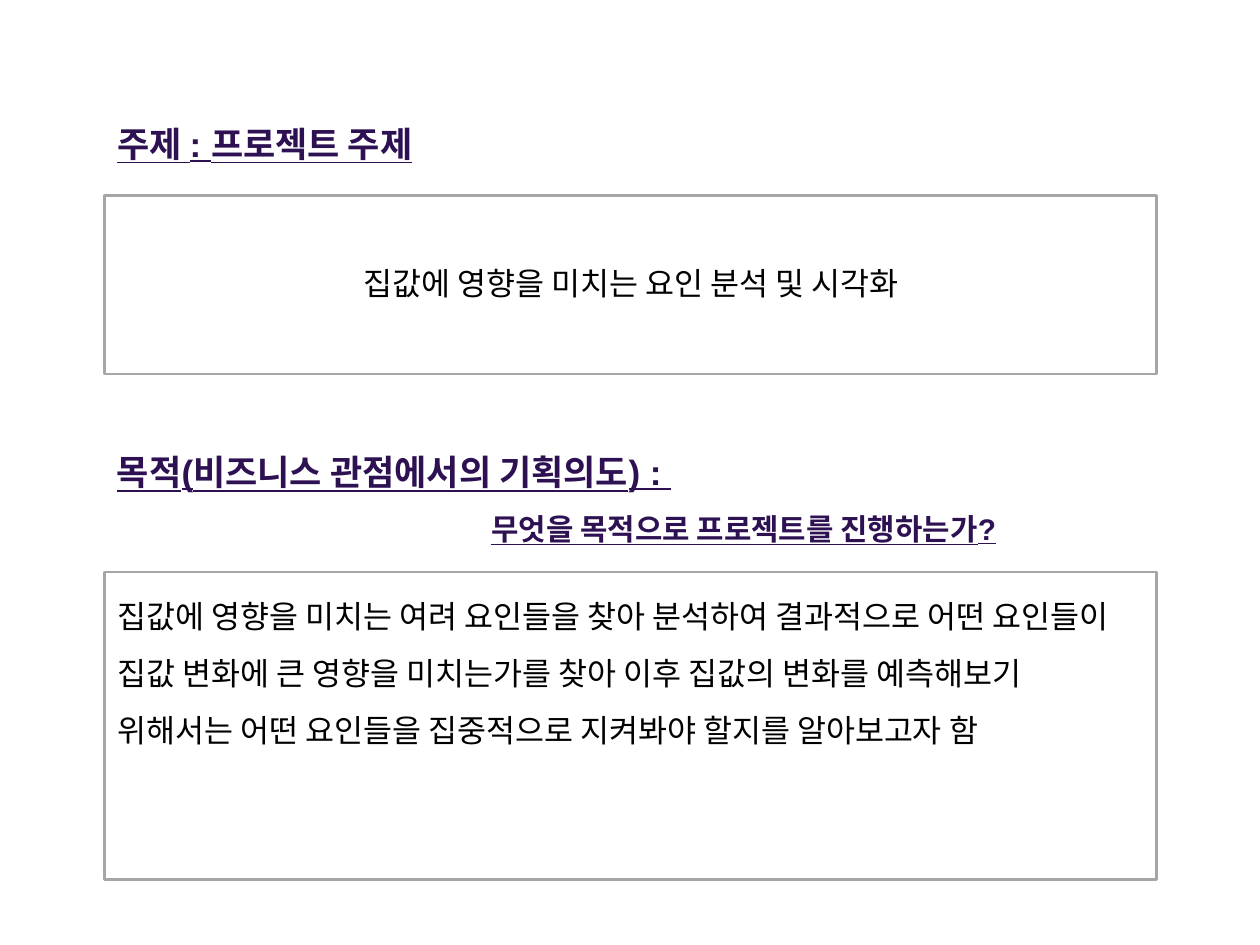
from dataclasses import dataclass

from lxml.etree import SubElement
from pptx import Presentation
from pptx.dml.color import RGBColor as Rgb
from pptx.enum.shapes import MSO_SHAPE as Shape
from pptx.enum.text import MSO_ANCHOR as Anchor, MSO_AUTO_SIZE as AutoSize, PP_ALIGN as Align
from pptx.oxml.ns import qn
from pptx.util import Inches, Pt


@dataclass(frozen=True)
class Theme:
    """Colours, fonts and type sizes of the slide."""
    heading_color: Rgb = Rgb(0x2D, 0x11, 0x52)
    text_color: Rgb = Rgb(0, 0, 0)
    frame_color: Rgb = Rgb(0xA6, 0xA6, 0xA6)
    heading_font: str = "Arial"
    korean_font: str = "Noto Sans CJK KR"
    heading_size: int = 20
    question_size: int = 17
    text_size: int = 18
    frame_width: float = 1.5


THEME = Theme()
HEADING = {"name": THEME.heading_font, "bold": True, "underline": True,
           "size": Pt(THEME.heading_size)}
QUESTION = {**HEADING, "size": Pt(THEME.question_size)}
TEXT = {"name": THEME.korean_font, "size": Pt(THEME.text_size)}


def apply_format(target, values):
    """Set each named attribute on the target."""
    for name, value in values.items():
        setattr(target, name, value)


def place(shape, left, top, width, height):
    """Move a shape to a box given in inches."""
    box = zip(("left", "top", "width", "height"), (left, top, width, height))
    apply_format(shape, {name: Inches(value) for name, value in box})


def write_para(para, text, style, color, align=Align.LEFT, spacing=1.0, indent=0):
    """Write one unbulleted paragraph in the given style."""
    apply_format(para, {"alignment": align, "line_spacing": spacing,
                        "space_before": Pt(0)})
    props = para._p.get_or_add_pPr()
    props.set("marL", str(Inches(indent)))
    props.set("indent", "0")
    SubElement(props, qn("a:buNone"))
    span = para.add_run()
    span.text = text
    apply_format(span.font, style)
    span.font.color.rgb = color
    SubElement(span._r.get_or_add_rPr(), qn("a:ea"), typeface=THEME.korean_font)


def prepare_text(shape):
    """Return the wrapped, top-anchored text frame of a shape."""
    apply_format(shape.text_frame, {"word_wrap": True, "auto_size": AutoSize.NONE,
                                    "vertical_anchor": Anchor.TOP})
    return shape.text_frame


def add_frame(page, left, top, width, height):
    """Draw an unfilled grey frame."""
    frame = page.shapes.add_shape(Shape.RECTANGLE, *map(Inches, (left, top, width, height)))
    frame.shadow.inherit = False
    frame.fill.background()
    frame.line.color.rgb = THEME.frame_color
    frame.line.width = Pt(THEME.frame_width)


def add_text_box(page, left, top, width, height):
    """Add a text box and return its text frame."""
    box = page.shapes.add_textbox(*map(Inches, (left, top, width, height)))
    return prepare_text(box)


def build_topic(page, left, top, width):
    """Place the topic heading and its framed statement."""
    title = page.shapes.title
    place(title, left, top, 2.97, 0.44)
    write_para(prepare_text(title).paragraphs[0], "주제 : 프로젝트 주제",
               HEADING, THEME.heading_color)
    add_frame(page, left, top + 0.63, width, 1.42)
    statement = add_text_box(page, left, top + 1.13, width, 0.4)
    write_para(statement.paragraphs[0], "집값에 영향을 미치는 요인 분석 및 시각화",
               TEXT, THEME.text_color, align=Align.CENTER)


def build_purpose(page, left, top, width):
    """Place the purpose heading, its question and the framed explanation."""
    heading = add_text_box(page, left, top, width, 1.04)
    write_para(heading.paragraphs[0], "목적(비즈니스 관점에서의 기획의도) : ",
               HEADING, THEME.heading_color, spacing=1.5)
    write_para(heading.add_paragraph(), "무엇을 목적으로 프로젝트를 진행하는가?",
               QUESTION, THEME.heading_color, spacing=1.5, indent=2.97)
    add_frame(page, left, top + 1.18, width, 2.44)
    body = page.placeholders[1]
    place(body, left, top + 1.18, width, 1.86)
    write_para(prepare_text(body).paragraphs[0],
               "집값에 영향을 미치는 여려 요인들을 찾아 분석하여 결과적으로 어떤 요인들이 "
               "집값 변화에 큰 영향을 미치는가를 찾아 이후 집값의 변화를 예측해보기 "
               "위해서는 어떤 요인들을 집중적으로 지켜봐야 할지를 알아보고자 함",
               TEXT, THEME.text_color, spacing=1.5)


def main():
    """Build and save the deck."""
    deck = Presentation()
    apply_format(deck, {"slide_width": Inches(10), "slide_height": Inches(7.5)})
    page = deck.slides.add_slide(deck.slide_layouts[1])
    build_topic(page, 0.83, 0.92, 8.35)
    build_purpose(page, 0.83, 3.36, 8.35)
    deck.save("out.pptx")


main()
